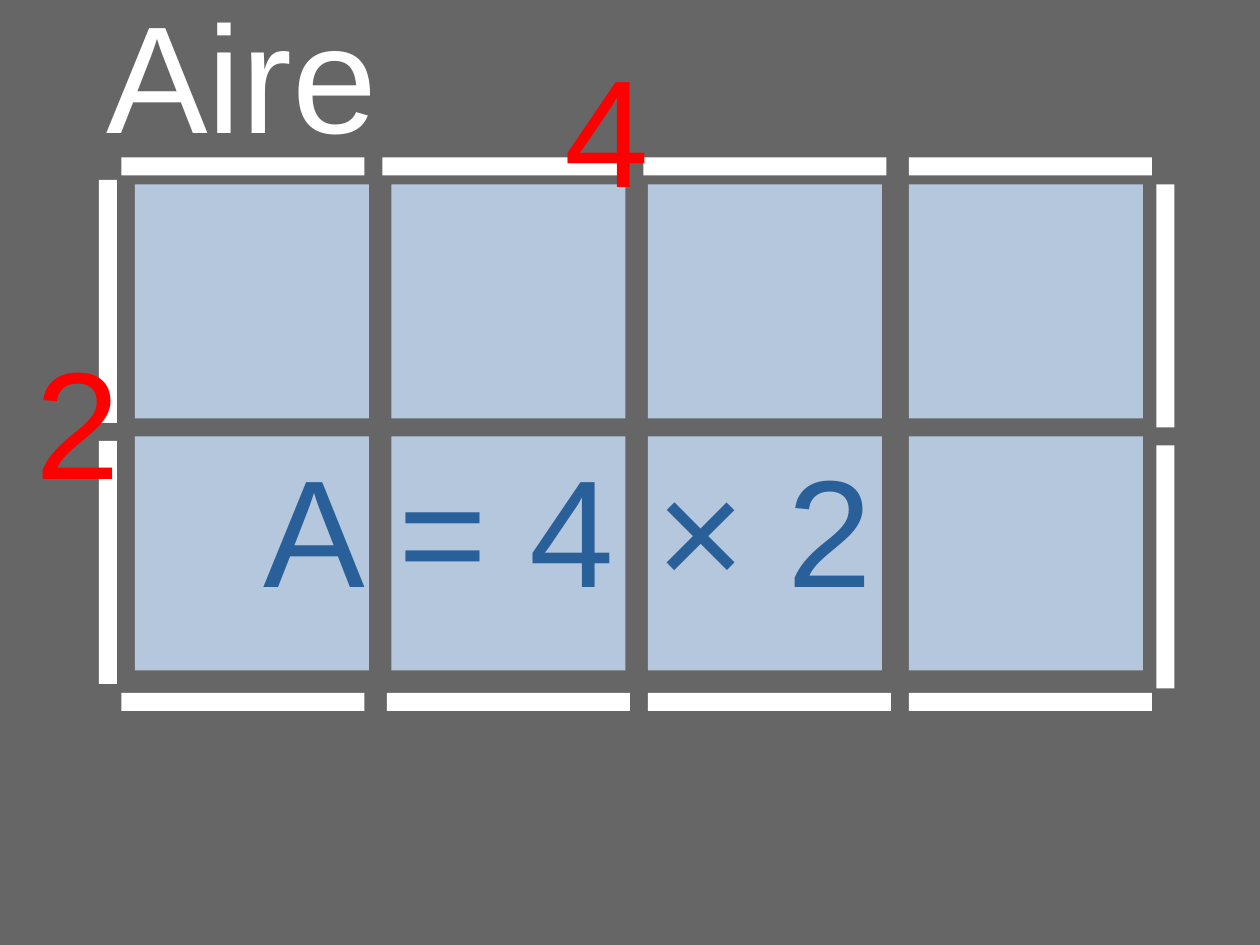
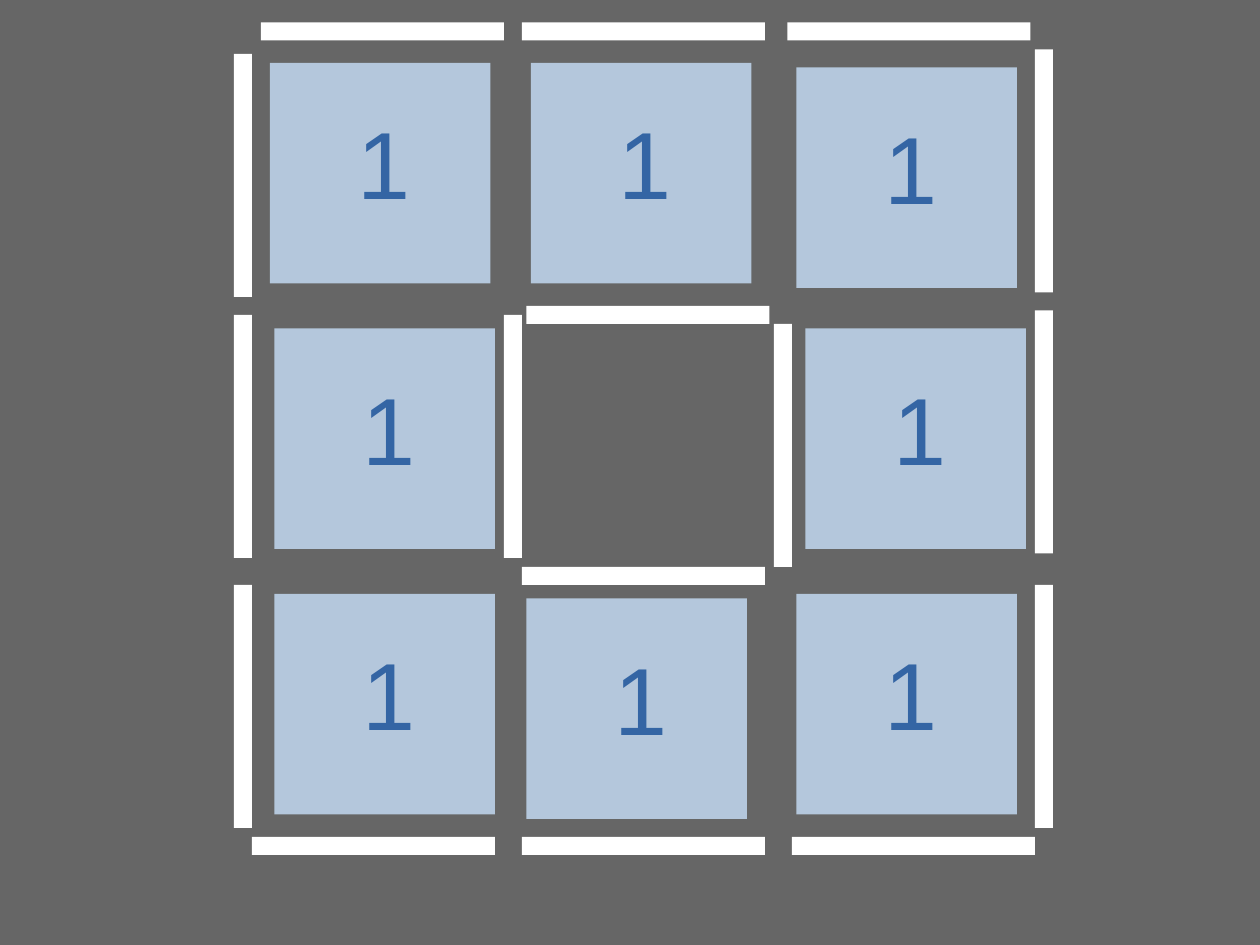
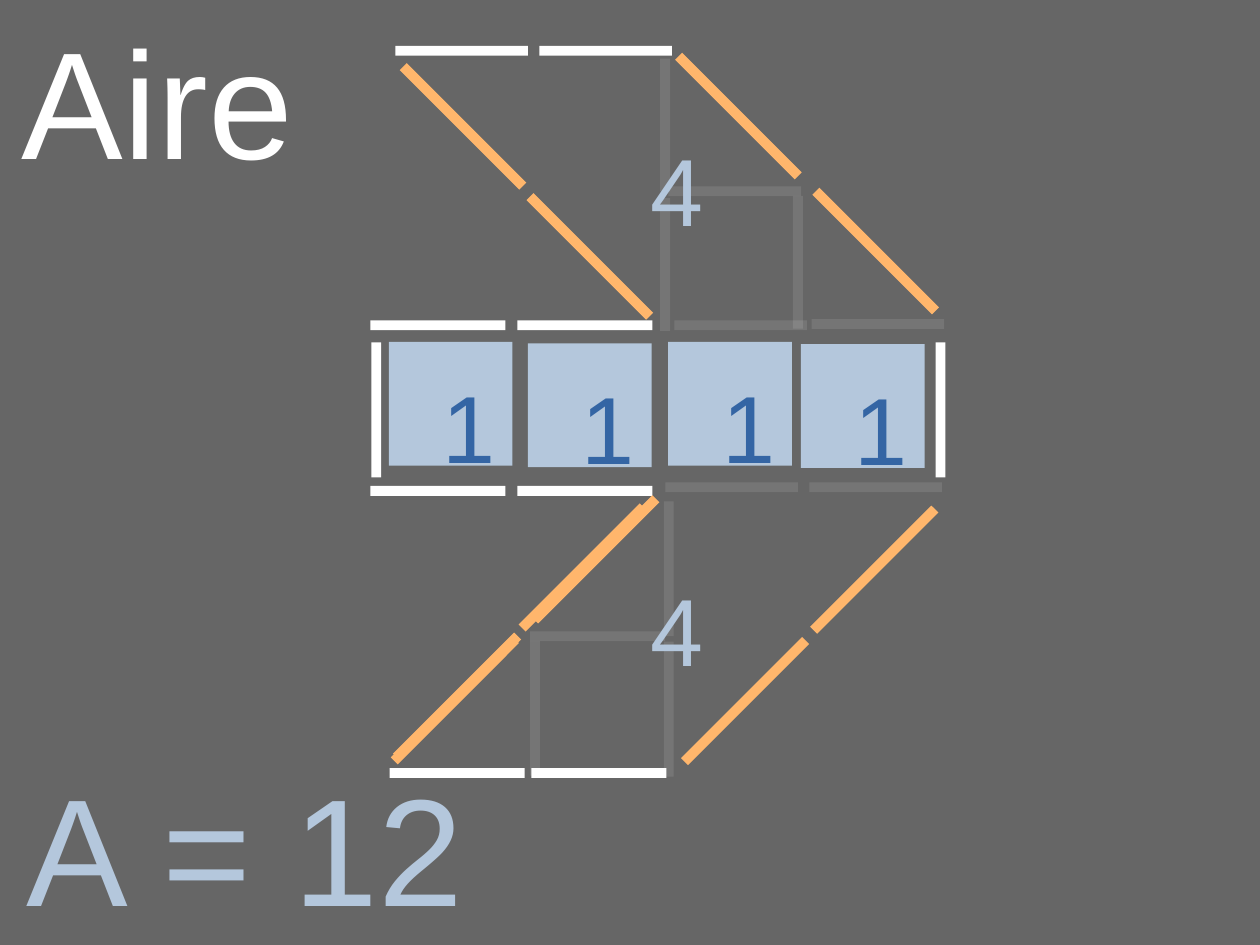
from pptx import Presentation
from pptx.dml.color import RGBColor
from pptx.enum.shapes import MSO_SHAPE
from pptx.enum.text import MSO_ANCHOR, PP_ALIGN
from pptx.oxml.ns import qn
from pptx.util import Cm, Pt
from lxml.etree import SubElement

FONT = "Arial"
COLORS = {
    "background": "666666",
    "white": "FFFFFF",
    "square": "B4C7DC",
    "digit": "3465A4",
    "formula": "2A6099",
    "side": "FF0000",
    "diagonal": "FFB66C",
}


def add_block(shapes, left, top, width, height, color, rotation=0, opacity=100):
    """Add a plain rectangle: a unit square or a matchstick."""
    shape = shapes.add_shape(MSO_SHAPE.RECTANGLE, Cm(left), Cm(top), Cm(width), Cm(height))
    shape.shadow.inherit = False
    shape.rotation = rotation
    shape.line.fill.background()
    shape.fill.solid()
    shape.fill.fore_color.rgb = RGBColor.from_string(COLORS[color])
    if opacity < 100:
        fill_color = shape._element.spPr.find(qn("a:solidFill"))[0]
        SubElement(fill_color, qn("a:alpha")).set("val", str(opacity * 1000))


def add_text(shapes, left, top, width, height, text, size, color, title=False, align=PP_ALIGN.LEFT):
    """Add a one-line text; a title has no margins and is centred in height."""
    box = shapes.add_textbox(Cm(left), Cm(top), Cm(width), Cm(height))
    text_frame = box.text_frame
    text_frame.word_wrap = True
    if title:
        text_frame.vertical_anchor = MSO_ANCHOR.MIDDLE
        text_frame.margin_left = text_frame.margin_right = 0
        text_frame.margin_top = text_frame.margin_bottom = 0
    text_frame.text = text
    paragraph = text_frame.paragraphs[0]
    paragraph.alignment = align
    font = paragraph.runs[0].font
    font.name = FONT
    font.size = Pt(size)
    font.color.rgb = RGBColor.from_string(COLORS[color])


presentation = Presentation()
presentation.slide_width = Cm(28)
presentation.slide_height = Cm(21)
blank_layout = presentation.slide_layouts[6]

# Grey background shared by all slides
background = presentation.slide_master.background.fill
background.solid()
background.fore_color.rgb = RGBColor.from_string(COLORS["background"])

STICK_LENGTH, STICK_WIDTH = 5.4, 0.4

# Slide 1: rectangle of 4 by 2 squares
slide = presentation.slides.add_slide(blank_layout)
shapes = slide.shapes
add_text(shapes, -2.64, -0.58, 16.02, 4.4, "Aire", 96, "white", True, PP_ALIGN.CENTER)

for top, lefts in ((3.5, (2.7, 8.5, 14.3, 20.2)), (15.4, (2.7, 8.6, 14.4, 20.2))):
    for left in lefts:
        add_block(shapes, left, top, STICK_LENGTH, STICK_WIDTH, "white")
for left, first_top in ((2.2, 4), (25.7, 4.1)):
    for row in range(2):
        add_block(shapes, left, first_top + row * 5.8, STICK_WIDTH, STICK_LENGTH, "white")
for top in (4.1, 9.7):
    for left in (3, 8.7, 14.4, 20.2):
        add_block(shapes, left, top, 5.2, 5.2, "square")

add_text(shapes, 12.3, 0.65, 1.68, 4.05, "4", 96, "side")
add_text(shapes, 0.53, 7.15, 1.68, 4.05, "2", 96, "side")
add_text(shapes, 5.6, 9.55, 14.9, 4.05, "A = 4 × 2", 96, "formula")

# Slide 2: ring of eight unit squares
slide = presentation.slides.add_slide(blank_layout)
shapes = slide.shapes
horizontal_sticks = {
    0.5: (5.8, 11.6, 17.5),
    6.8: (11.7,),
    12.6: (11.6,),
    18.6: (5.6, 11.6, 17.6),
}
for top, lefts in horizontal_sticks.items():
    for left in lefts:
        add_block(shapes, left, top, STICK_LENGTH, STICK_WIDTH, "white")

vertical_sticks = {
    5.2: (1.2, 7, 13),
    11.2: (7,),
    17.2: (7.2,),
    23: (1.1, 6.9, 13),
}
for left, tops in vertical_sticks.items():
    for top in tops:
        add_block(shapes, left, top, STICK_WIDTH, STICK_LENGTH, "white")

ring_squares = (
    (6, 1.4), (11.8, 1.4), (17.7, 1.5),
    (6.1, 7.3), (17.9, 7.3),
    (6.1, 13.2), (11.7, 13.3), (17.7, 13.2),
)
for left, top in ring_squares:
    group = slide.shapes.add_group_shape()
    add_block(group.shapes, left, top, 4.9, 4.9, "square")
    add_text(group.shapes, left + 1.7, top + 0.8, 1.68, 2.62, "1", 60, "digit")

# Slide 3: arrow figure with an area of 12
slide = presentation.slides.add_slide(blank_layout)
shapes = slide.shapes
add_text(shapes, 0.4, 0, 6.2, 4.4, "Aire", 96, "white", True, PP_ALIGN.CENTER)

# Sticks: colour, opacity, length, rotation, centres
THIN_WIDTH = 0.22
stick_sets = (
    ("white", 100, 3, 0, ((9.73, 10.91), (13, 10.91), (9.73, 7.23), (13, 7.23),
                          (10.16, 17.18), (13.31, 17.18))),
    ("white", 100, 2.95, 0, ((10.26, 1.13), (13.46, 1.13))),
    ("white", 100, 3, 90, ((8.36, 9.11), (20.9, 9.11))),
    ("diagonal", 100, 3.76, 45, ((10.29, 2.81), (13.11, 5.7), (16.41, 2.58), (19.46, 5.58))),
    ("diagonal", 100, 3.81, 315, ((10.11, 15.56), (12.95, 12.61), (10.16, 15.48),
                                  (13.23, 12.43), (16.56, 15.58), (19.43, 12.66))),
    ("white", 10, 2.95, 90, ((14.78, 2.78), (14.78, 5.88), (17.73, 5.83))),
    ("white", 10, 3, 90, ((14.86, 12.64), (14.86, 15.76), (11.89, 15.74))),
    ("white", 10, 2.95, 0, ((16.33, 4.25), (16.46, 7.23), (19.51, 7.2),
                            (16.26, 10.83), (19.46, 10.83))),
    ("white", 10, 3, 0, ((13.28, 14.14),)),
)
for color, opacity, length, rotation, centers in stick_sets:
    for center_x, center_y in centers:
        add_block(shapes, center_x - length / 2, center_y - THIN_WIDTH / 2,
                  length, THIN_WIDTH, color, rotation, opacity)

# Areas of the two parallelograms
for top in (2.79, 12.57):
    add_text(shapes, 14.2, top, 0.94, 2.62, "4", 60, "square")

# Row of unit squares
for left, top in ((8.64, 7.6), (11.73, 7.63), (14.85, 7.6), (17.8, 7.65)):
    group = slide.shapes.add_group_shape()
    add_block(group.shapes, left, top, 2.75, 2.75, "square")
    add_text(group.shapes, left + 0.95, top + 0.45, 0.94, 2.62, "1", 60, "digit")

add_text(shapes, 0.6, 16.6, 16.02, 4.4, "A = 12", 96, "square", True)

presentation.save("out.pptx")
